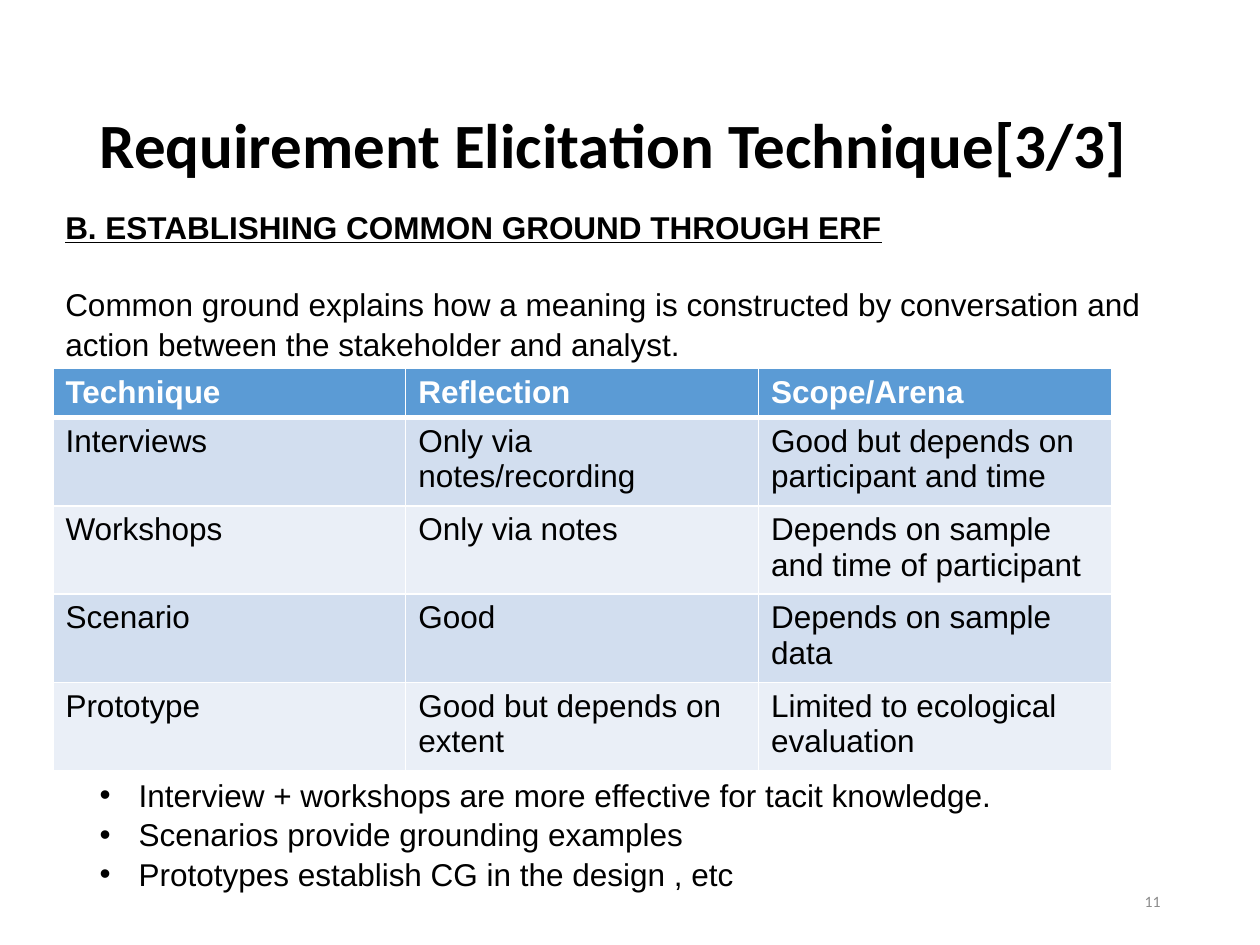
from pptx import Presentation
from pptx.dml.color import RGBColor
from pptx.enum.text import MSO_ANCHOR, MSO_AUTO_SIZE, PP_ALIGN
from pptx.oxml import parse_xml
from pptx.oxml.ns import nsdecls
from pptx.util import Inches, Pt

COLORS = {"ink": "000000", "paper": "FFFFFF", "header": "5B9BD5",
          "odd": "D2DEEF", "even": "EAEFF7", "muted": "8C8C8C"}
BODY = {"size": Pt(18), "name": "Arial", "bold": False}
HEADING = {**BODY, "bold": True}

deck = Presentation()
deck.slide_width, deck.slide_height = Inches(10), Inches(7.5)
slide = deck.slides.add_slide(deck.slide_layouts[1])


def place(left, top, width, height):
    wide, high = deck.slide_width, deck.slide_height
    return [int(left * wide), int(top * high), int(width * wide), int(height * high)]


def write(paragraph, text, style, color="ink"):
    run = paragraph.add_run()
    run.text = text
    for attribute, value in style.items():
        setattr(run.font, attribute, value)
    run.font.color.rgb = RGBColor.from_string(COLORS[color])


title, findings = slide.placeholders
intro = slide.shapes.add_textbox(0, 0, 0, 0)
page_number = slide.shapes.add_textbox(0, 0, 0, 0)
areas = [
    (title, (0.069, 0.103, 0.862, 0.108), MSO_ANCHOR.MIDDLE),
    (intro, (0.042, 0.211, 0.89, 0.216), MSO_ANCHOR.TOP),
    (findings, (0.069, 0.812, 0.742, 0.135), MSO_ANCHOR.TOP),
    (page_number, (0.706, 0.927, 0.225, 0.053), MSO_ANCHOR.MIDDLE),
]
for area, shares, anchor in areas:
    area.left, area.top, area.width, area.height = place(*shares)
    frame_format = {"word_wrap": True, "auto_size": MSO_AUTO_SIZE.NONE, "vertical_anchor": anchor}
    for attribute, value in frame_format.items():
        setattr(area.text_frame, attribute, value)

headline = title.text_frame.paragraphs[0]
headline.alignment = PP_ALIGN.LEFT
headline.line_spacing = 0.9
write(headline, "Requirement Elicitation Technique[3/3]",
      {"size": Pt(36), "name": "Calibri", "bold": True})

section = intro.text_frame.paragraphs[0]
write(section, "B. ESTABLISHING COMMON GROUND THROUGH ERF", {**HEADING, "underline": True})
explanation = intro.text_frame.add_paragraph()
explanation.space_before = Pt(21.6)
write(explanation, "Common ground explains how a meaning is constructed by conversation and "
      "action between the stakeholder and analyst.", BODY)
section.line_spacing = explanation.line_spacing = 1.05

techniques = [
    ("Technique", "Reflection", "Scope/Arena"),
    ("Interviews", "Only via notes/recording", "Good but depends on participant and time"),
    ("Workshops", "Only via notes", "Depends on sample and time of participant"),
    ("Scenario", "Good", "Depends on sample data"),
    ("Prototype", "Good but depends on extent", "Limited to ecological evaluation"),
]
comparison = slide.shapes.add_table(
    len(techniques), len(techniques[0]), *place(0.042, 0.39, 0.84, 0.425)).table
for row_index, entries in enumerate(techniques):
    is_header = row_index == 0
    comparison.rows[row_index].height = Inches(0.39 if is_header else 0.7)
    shade = "header" if is_header else ("even", "odd")[row_index % 2]
    for column_index, entry in enumerate(entries):
        cell = comparison.cell(row_index, column_index)
        cell.fill.solid()
        cell.fill.fore_color.rgb = RGBColor.from_string(COLORS[shade])
        write(cell.text_frame.paragraphs[0], entry, HEADING if is_header else BODY,
              "paper" if is_header else "ink")
        borders = {"L": 1, "R": 1, "T": 3 if row_index == 1 else 1, "B": 3 if is_header else 1}
        for position, (side, points) in enumerate(borders.items()):
            cell._tc.get_or_add_tcPr().insert(position, parse_xml(
                f'<a:ln{side} {nsdecls("a")} w="{Pt(points)}"><a:solidFill>'
                f'<a:srgbClr val="{COLORS["paper"]}"/></a:solidFill></a:ln{side}>'))

conclusions = ["Interview + workshops are more effective for tacit knowledge.",
               "Scenarios provide grounding examples",
               "Prototypes establish CG in the design , etc"]
for index, conclusion in enumerate(conclusions):
    frame = findings.text_frame
    point = frame.add_paragraph() if index else frame.paragraphs[0]
    point.space_before = Pt(0)
    point.line_spacing = 1.05
    write(point, conclusion, BODY)
    properties = point._p.get_or_add_pPr()
    properties.set("marL", str(Inches(0.31)))
    properties.set("indent", str(-Inches(0.31)))
    properties.append(parse_xml(f'<a:buFont {nsdecls("a")} typeface="Arial"/>'))
    properties.append(parse_xml(f'<a:buChar {nsdecls("a")} char="•"/>'))

number = page_number.text_frame.paragraphs[0]
number.alignment = PP_ALIGN.RIGHT
write(number, "11", {"size": Pt(9), "name": "Calibri"}, "muted")

deck.save("out.pptx")
